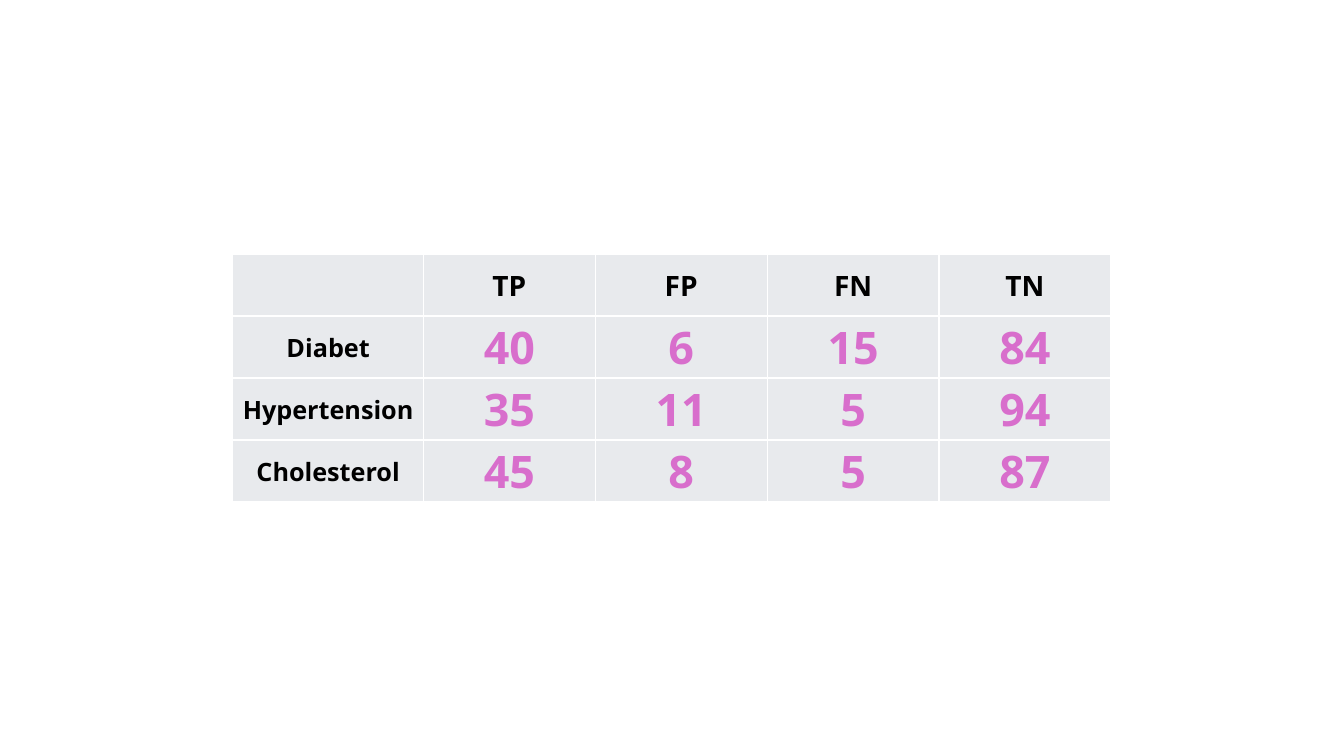
from lxml.etree import SubElement
from pptx import Presentation
from pptx.dml.color import RGBColor
from pptx.enum.text import MSO_ANCHOR, PP_ALIGN
from pptx.oxml.ns import qn
from pptx.util import Inches, Pt

COLORS = {"cell": "E8EAED", "rule": "FFFFFF", "label": "000000", "count": "D86ECC"}
ROWS = [
    ["", "TP", "FP", "FN", "TN"],
    ["Diabet", "40", "6", "15", "84"],
    ["Hypertension", "35", "11", "5", "94"],
    ["Cholesterol", "45", "8", "5", "87"],
]


class Deck:
    font = "Open Sans"

    def __init__(self):
        self.prs = Presentation()
        self.prs.slide_width = Inches(13.33)
        self.prs.slide_height = Inches(7.5)
        self.slide = self.prs.slides.add_slide(self.prs.slide_layouts[6])

    def table(self, rows, left, top, width, height, first):
        """Add a table whose first column has its own width; the rest share evenly."""
        count = len(rows[0])
        frame = self.slide.shapes.add_table(
            len(rows), count, Inches(left), Inches(top), Inches(width), Inches(height))
        grid = frame.table
        grid.first_row = grid.horz_banding = False
        for i, col in enumerate(grid.columns):
            col.width = Inches(first if i == 0 else (width - first) / (count - 1))
        for r, row in enumerate(rows):
            for c, text in enumerate(row):
                if r == 0:
                    size, color = 20, "label"
                elif c == 0:
                    size, color = 18, "label"
                else:
                    size, color = 32, "count"
                self.cell(grid.cell(r, c), text, size, color)

    def cell(self, cell, text, size, color):
        cell.margin_left = cell.margin_top = cell.margin_right = Inches(0.01)
        cell.margin_bottom = 0
        cell.vertical_anchor = MSO_ANCHOR.MIDDLE
        self.edges(cell)
        cell.fill.solid()
        cell.fill.fore_color.rgb = RGBColor.from_string(COLORS["cell"])
        para = cell.text_frame.paragraphs[0]
        para.text = text
        para.alignment = PP_ALIGN.CENTER
        for run in para.runs:
            run.font.name = self.font
            run.font.size = Pt(size)
            run.font.bold = True
            run.font.color.rgb = RGBColor.from_string(COLORS[color])

    def edges(self, cell):
        """Rule all four sides; must run before the fill, which follows in the XML."""
        props = cell._tc.get_or_add_tcPr()
        for side in ("lnL", "lnR", "lnT", "lnB"):
            line = SubElement(props, qn(f"a:{side}"), w=str(Pt(1)))
            fill = SubElement(line, qn("a:solidFill"))
            SubElement(fill, qn("a:srgbClr"), val=COLORS["rule"])


def main():
    deck = Deck()
    deck.table(ROWS, left=2.31, top=2.52, width=8.71, height=2.46, first=1.89)
    deck.prs.save("out.pptx")


if __name__ == "__main__":
    main()
